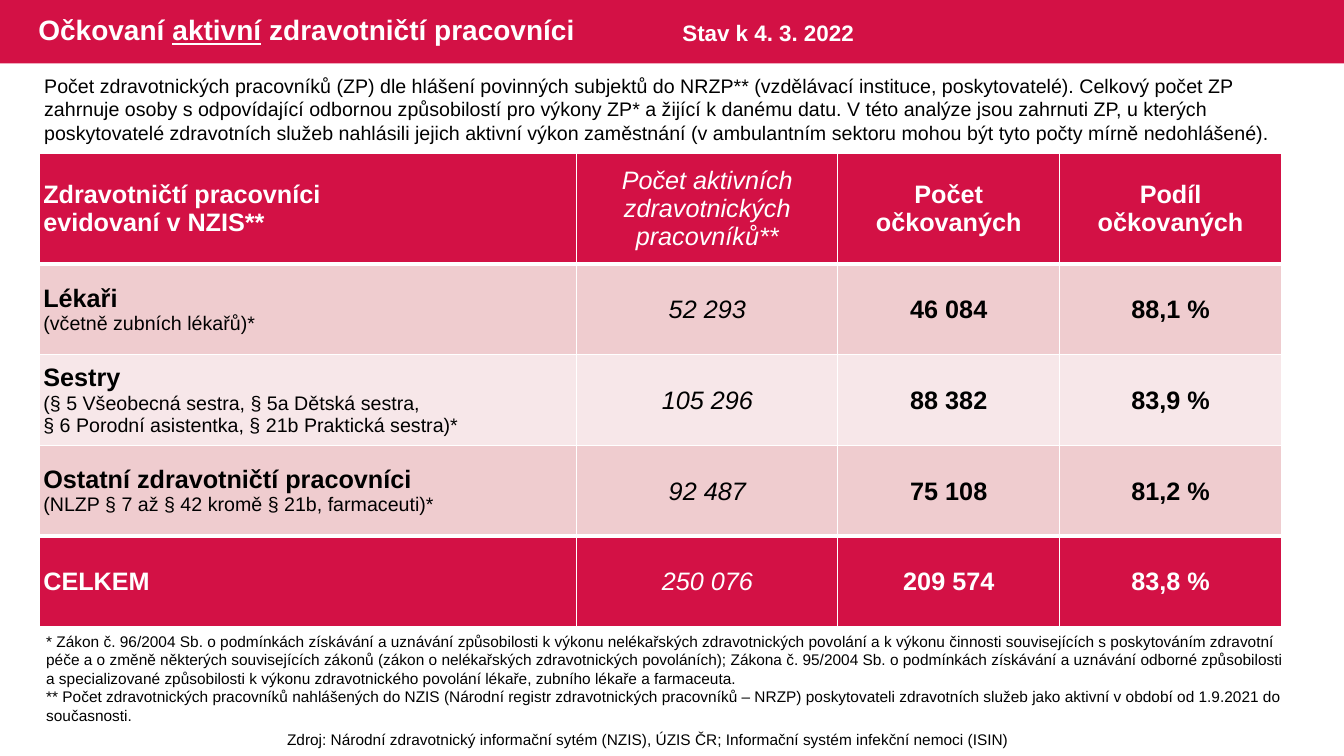
from lxml import etree
from pptx import Presentation
from pptx.dml.color import RGBColor
from pptx.enum.shapes import MSO_SHAPE
from pptx.enum.text import MSO_ANCHOR, MSO_AUTO_SIZE, PP_ALIGN
from pptx.oxml.ns import qn
from pptx.util import Inches, Pt

RECT = MSO_SHAPE.RECTANGLE
MIDDLE = MSO_ANCHOR.MIDDLE
LEFT, CENTER = PP_ALIGN.LEFT, PP_ALIGN.CENTER
NO_FIT = MSO_AUTO_SIZE.NONE

COLORS = {"red": "D31145", "rose": "EFCCCF", "pale": "F7E7E9",
          "white": "FFFFFF", "black": "000000"}

INTRO = (
    "Počet zdravotnických pracovníků (ZP) dle hlášení povinných subjektů do NRZP** "
    "(vzdělávací instituce, poskytovatelé). Celkový počet ZP zahrnuje osoby s odpovídající "
    "odbornou způsobilostí pro výkony ZP* a žijící k danému datu. V této analýze jsou "
    "zahrnuti ZP, u kterých poskytovatelé zdravotních služeb nahlásili jejich aktivní výkon "
    "zaměstnání (v ambulantním sektoru mohou být tyto počty mírně nedohlášené).")
FOOTNOTES = [
    "* Zákon č. 96/2004 Sb. o podmínkách získávání a uznávání způsobilosti k výkonu "
    "nelékařských zdravotnických povolání a k výkonu činnosti souvisejících s poskytováním "
    "zdravotní péče a o změně některých souvisejících zákonů (zákon o nelékařských "
    "zdravotnických povoláních); Zákona č. 95/2004 Sb. o podmínkách získávání a uznávání "
    "odborné způsobilosti a specializované způsobilosti k výkonu zdravotnického povolání "
    "lékaře, zubního lékaře a farmaceuta.",
    "** Počet zdravotnických pracovníků nahlášených do NZIS (Národní registr zdravotnických "
    "pracovníků – NRZP) poskytovateli zdravotních služeb jako aktivní v období od 1.9.2021 "
    "do současnosti."]
SOURCE = ("Zdroj: Národní zdravotnický informační sytém (NZIS), ÚZIS ČR; "
          "Informační systém infekční nemoci (ISIN)")

HEADER = [["Zdravotničtí pracovníci", "evidovaní v NZIS**"],
          "Počet aktivních zdravotnických pracovníků**", "Počet očkovaných",
          "Podíl očkovaných"]
GROUPS = [
    [["Lékaři", "(včetně zubních lékařů)*"], "52 293", "46 084", "88,1 %"],
    [["Sestry", "(§ 5 Všeobecná sestra, § 5a Dětská sestra,",
      "§ 6 Porodní asistentka, § 21b Praktická sestra)*"],
     "105 296", "88 382", "83,9 %"],
    [["Ostatní zdravotničtí pracovníci", "(NLZP § 7 až § 42 kromě § 21b, farmaceuti)*"],
     "92 487", "75 108", "81,2 %"],
]
TOTAL = [["CELKEM"], "250 076", "209 574", "83,8 %"]
COL_WIDTHS = [5.33, 2.59, 2.2, 2.2]
ROW_HEIGHTS = [1.1, 0.9, 0.9, 0.9, 0.9]


def add_run(p, text, size, color="black", **styles):
    r = p.add_run()
    r.text = text
    r.font.color.rgb = RGBColor.from_string(COLORS[color])
    for name, value in {"name": "Arial", "size": Pt(size), **styles}.items():
        setattr(r.font, name, value)


def add_text(s, box, paragraphs, size, color="black", align=LEFT, **styles):
    tf = s.shapes.add_textbox(*map(Inches, box)).text_frame
    tf.word_wrap = True
    for i, text in enumerate(paragraphs):
        p = tf.add_paragraph() if i else tf.paragraphs[0]
        p.alignment = align
        add_run(p, text, size, color, **styles)


def add_header(s, box):
    left, top, width, height = box
    band = s.shapes.add_shape(RECT, *map(Inches, box))
    band.shadow.inherit = False
    band.fill.solid()
    band.fill.fore_color.rgb = RGBColor.from_string(COLORS["red"])
    band.line.fill.background()
    s.shapes._spTree.insert(2, band._element)  # behind the title

    title = s.shapes.title
    title.left, title.top = Inches(left + 0.28), Inches(top)
    title.width, title.height = Inches(8.13), Inches(height)
    tf = title.text_frame
    tf.auto_size, tf.vertical_anchor = NO_FIT, MIDDLE
    p = tf.paragraphs[0]
    p.alignment, p.line_spacing = LEFT, 0.9
    for text, underline in (("Očkovaní ", False), ("aktivní", True),
                            (" zdravotničtí pracovníci", False)):
        add_run(p, text, 20, "white", bold=True, underline=underline)

    add_text(s, (left + 6.67, top + 0.14, 2.2, 0.37), ["Stav k 4. 3. 2022"], 16,
             "white", bold=True)


def set_borders(cell, **widths):
    """Draw white cell borders; widths are points keyed by side L, R, T, B."""
    tcPr = cell._tc.get_or_add_tcPr()
    for side, width in widths.items():
        ln = etree.SubElement(tcPr, qn(f"a:ln{side}"), w=str(Pt(width)))
        fill = etree.SubElement(ln, qn("a:solidFill"))
        etree.SubElement(fill, qn("a:srgbClr"), val=COLORS["white"])


def fill_cell(cell, content, col, is_header, is_group):
    tf = cell.text_frame
    lines = content if col == 0 else [content]
    for i, text in enumerate(lines):
        p = tf.add_paragraph() if i else tf.paragraphs[0]
        p.alignment = CENTER if col else LEFT
        detail = is_group and i > 0
        add_run(p, text, 14 if detail else 18, "black" if is_group else "white",
                bold=col != 1 and not detail, italic=col == 1)
    cell.vertical_anchor = MIDDLE
    side = 0.04 if col == 0 or is_header else 0.01
    cell.margin_left = cell.margin_right = Inches(side)
    cell.margin_top = Inches(0 if side == 0.04 else 0.01)
    cell.margin_bottom = 0


def add_staff_table(s, box):
    rows = [HEADER, *GROUPS, TOTAL]
    last = len(rows) - 1
    table = s.shapes.add_table(len(rows), len(COL_WIDTHS), *map(Inches, box)).table
    for column, width in zip(table.columns, COL_WIDTHS):
        column.width = Inches(width)
    for row, height in zip(table.rows, ROW_HEIGHTS):
        row.height = Inches(height)
    for i, row in enumerate(rows):
        is_group = 0 < i < last
        color = ("rose" if i % 2 else "pale") if is_group else "red"
        for j, content in enumerate(row):
            cell = table.cell(i, j)
            fill_cell(cell, content, j, i == 0, is_group)
            set_borders(cell, L=1, R=1, T=3 if i in (1, last) else 1,
                        B=3 if i in (0, last - 1) else 1)
            cell.fill.solid()
            cell.fill.fore_color.rgb = RGBColor.from_string(COLORS[color])


def main():
    prs = Presentation()
    prs.slide_width, prs.slide_height = Inches(13.33), Inches(7.5)
    s = prs.slides.add_slide(prs.slide_layouts.get_by_name("Title Only"))
    add_header(s, (0, 0, 13.33, 0.63))
    add_text(s, (0.36, 6.22, 12.53, 1.03), FOOTNOTES, 11)
    add_text(s, (0.34, 0.68, 12.64, 0.81), [INTRO], 14)
    add_staff_table(s, (0.39, 1.52, sum(COL_WIDTHS), sum(ROW_HEIGHTS)))
    add_text(s, (1.9, 7.19, 9.06, 0.29), [SOURCE], 11, align=CENTER)
    prs.save("out.pptx")


if __name__ == "__main__":
    main()
